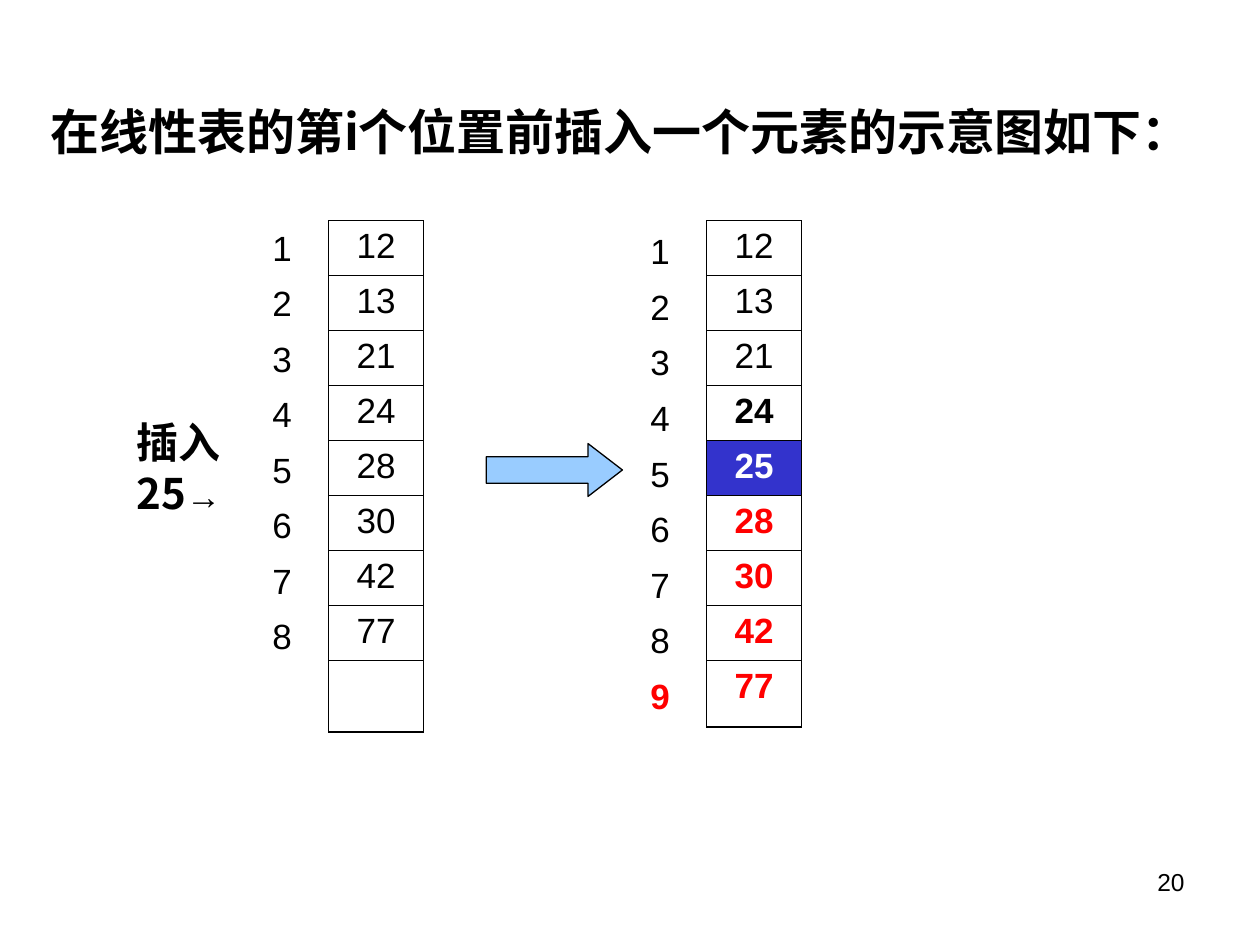
from lxml import etree
from pptx import Presentation
from pptx.dml.color import RGBColor
from pptx.enum import shapes, text
from pptx.oxml import ns
from pptx.util import Inches, Pt

SANS = "Arial"
CJK = "Noto Sans CJK SC"
RED = "FF0000"


def rgb(value):
    return RGBColor.from_string(value)


def add_run(p, value, font=SANS, size=20, color="000000", bold=False):
    r = p.add_run()
    r.text = value
    r.font.name = font
    r.font.size = Pt(size)
    r.font.bold = bold
    r.font.color.rgb = rgb(color)
    etree.SubElement(r.font._element, ns.qn("a:ea"), typeface=font)


def add_text(s, box, runs, align="CENTER", wrap=True, left=0.1, right=0.1):
    tf = s.shapes.add_textbox(*map(Inches, box)).text_frame
    tf.word_wrap = wrap
    tf.margin_left, tf.margin_right = Inches(left), Inches(right)
    p = tf.paragraphs[0]
    p.alignment = text.PP_ALIGN[align]
    for value, style in runs:
        add_run(p, value, **style)


def set_borders(cell, bottom):
    tc_pr = cell._tc.get_or_add_tcPr()
    widths = {"lnL": 0.45, "lnR": 0.45, "lnT": 0.45, "lnB": bottom}
    for i, (side, width) in enumerate(widths.items()):
        ln = etree.Element(ns.qn(f"a:{side}"), w=str(Pt(width)))
        fill = etree.SubElement(ln, ns.qn("a:solidFill"))
        etree.SubElement(fill, ns.qn("a:srgbClr"), val="000000")
        tc_pr.insert(i, ln)


def add_column(s, left, top, width, values, heights, styles=None, fills=None, boxed=False):
    styles, fills = styles or {}, fills or {}
    frame = s.shapes.add_table(len(values), 1, Inches(left), Inches(top),
                               Inches(width), Inches(sum(heights)))
    table = frame.table
    table.first_row = table.horz_banding = False
    last = len(values) - 1
    for i, (value, height) in enumerate(zip(values, heights)):
        table.rows[i].height = Inches(height)
        cell = table.cell(i, 0)
        if boxed:
            cell.fill.solid()
            cell.fill.fore_color.rgb = rgb(fills.get(i, "FFFFFF"))
            set_borders(cell, 1.08 if i == last else 0.45)
        else:
            cell.fill.background()
        if value:
            p = cell.text_frame.paragraphs[0]
            p.alignment = text.PP_ALIGN.CENTER
            add_run(p, str(value), **styles.get(i, {}))


def add_arrow(s, box):
    sp = s.shapes.add_shape(shapes.MSO_SHAPE.RIGHT_ARROW, *map(Inches, box))
    sp.adjustments[0], sp.adjustments[1] = 0.5, 0.65
    sp.shadow.inherit = False
    sp.fill.solid()
    sp.fill.fore_color.rgb = rgb("99CCFF")
    sp.line.color.rgb = rgb("000000")
    sp.line.width = Pt(0.75)


def main():
    prs = Presentation()
    prs.slide_width, prs.slide_height = Inches(10), Inches(7.5)
    s = prs.slides.add_slide(prs.slide_layouts[6])

    add_text(s, (0.17, 0.76, 9.51, 0.57),
             [("在线性表的第i个位置前插入一个元素的示意图如下：",
               dict(font=CJK, size=28, bold=True))], wrap=False)

    before = [12, 13, 21, 24, 28, 30, 42, 77]
    after = before[:4] + [25] + before[4:]
    rows = [3.49 / 8] * 8
    moved = {i: dict(color=RED, bold=True) for i in range(5, 9)}
    styles = {3: dict(bold=True), 4: dict(color="FFFFFF", bold=True), **moved}
    add_column(s, 2.61, 1.75, 0.75, before + [""], rows + [0.57], boxed=True)
    add_column(s, 5.61, 1.75, 0.75, after, rows + [0.53], styles,
               {4: "3333CC"}, boxed=True)

    index_rows = [3.97 / 9] * 9
    add_column(s, 2.03, 1.77, 0.42, [*range(1, 9), ""], index_rows)
    add_column(s, 5.03, 1.8, 0.42, range(1, 10), index_rows, {8: moved[8]})

    add_text(s, (0.67, 3.26, 1.58, 0.5),
             [("插入25", dict(font=CJK, size=24, bold=True)), ("→", dict(bold=True))],
             left=0.35, right=0.43)
    add_arrow(s, (3.86, 3.52, 1.08, 0.42))
    add_text(s, (7.17, 6.83, 2.33, 0.52), [("20", dict(size=14))], align="RIGHT")
    prs.save("out.pptx")


if __name__ == "__main__":
    main()
